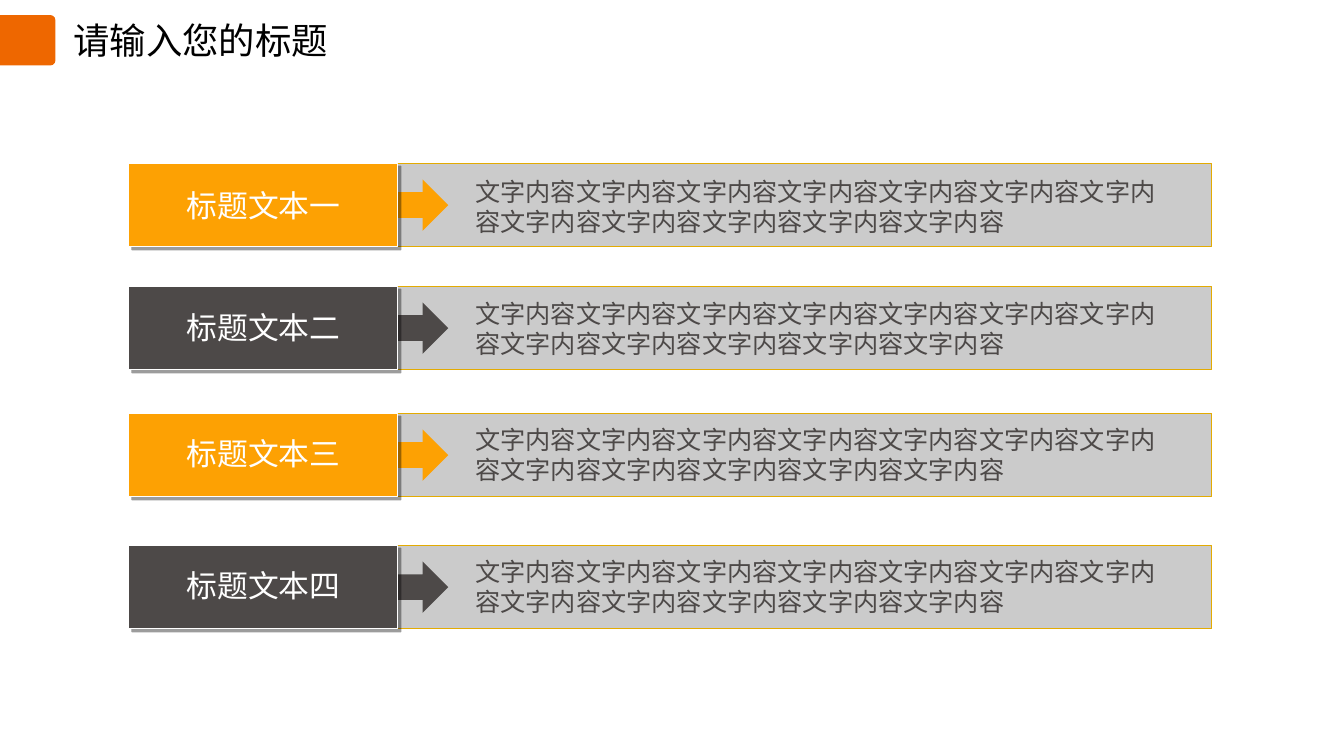
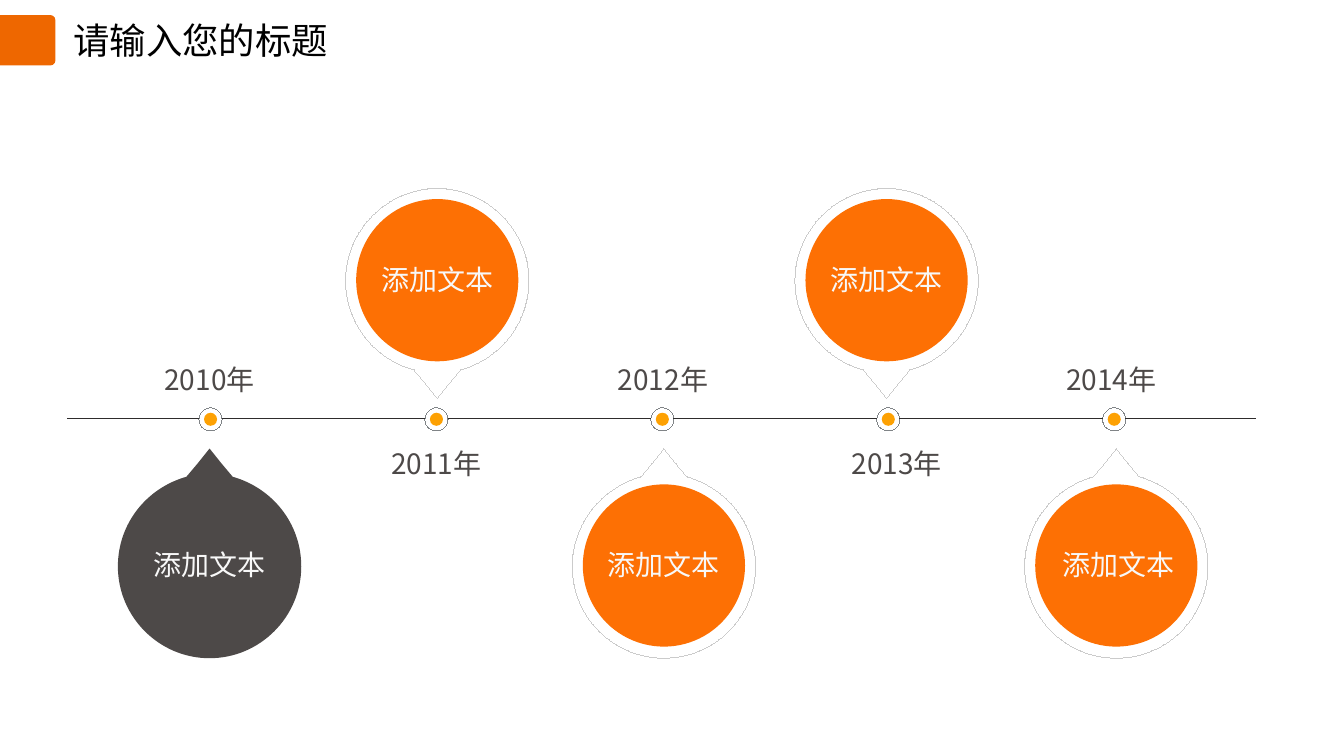
from lxml import etree
from pptx import Presentation
from pptx.dml.color import RGBColor
from pptx.enum.shapes import MSO_CONNECTOR, MSO_SHAPE
from pptx.enum.text import PP_ALIGN
from pptx.oxml import parse_xml
from pptx.oxml.ns import nsdecls, qn
from pptx.util import Inches, Pt

RECTANGLE = MSO_SHAPE.RECTANGLE
ELLIPSE = MSO_SHAPE.OVAL
ARROW = MSO_SHAPE.RIGHT_ARROW
TAB = MSO_SHAPE.ROUND_2_SAME_RECTANGLE
STRAIGHT = MSO_CONNECTOR.STRAIGHT
LEFT, CENTER = PP_ALIGN.LEFT, PP_ALIGN.CENTER

FONT = "Noto Sans CJK SC"
COLORS = {
    "black": "000000", "white": "FFFFFF", "off_white": "F8F8F8",
    "tab": "EE6700", "orange": "FD7004", "amber": "FDA103", "gold": "E3AB02",
    "dark": "4D4948", "axis": "2E2C2C", "ring": "808487", "panel": "CBCBCB",
}
SHADOW = (
    f'<a:outerShdw {nsdecls("a")} blurRad="0" dist="{Pt(3)}" dir="2700000" algn="tl" '
    'rotWithShape="0"><a:srgbClr val="000000"><a:alpha val="38000"/></a:srgbClr></a:outerShdw>'
)


def paint(shape, fill=None, line=None, width=0):
    """Set fill and outline by colour name; None leaves them out."""
    shape.shadow.inherit = False
    for target, color in ((shape.fill, fill), (shape.line.fill, line)):
        if color is None:
            target.background()
        else:
            target.solid()
            target.fore_color.rgb = RGBColor.from_string(COLORS[color])
    # A hairline needs its zero width written out
    shape._element.spPr.find(qn("a:ln")).set("w", str(Pt(width)))


def add_text(slide, box, text, size, color, alignment=CENTER, wrap=True):
    """Add a text box of one paragraph; box is left, top, width, height in inches."""
    frame = slide.shapes.add_textbox(*[Inches(length) for length in box]).text_frame
    frame.word_wrap = wrap
    paragraph = frame.paragraphs[0]
    paragraph.alignment = alignment
    run = paragraph.add_run()
    run.text = text
    for name, value in {"size": Pt(size), "name": FONT}.items():
        setattr(run.font, name, value)
    run.font.color.rgb = RGBColor.from_string(COLORS[color])
    etree.SubElement(run.font._element, qn("a:ea")).set("typeface", FONT)


presentation = Presentation()
presentation.slide_width = Inches(13.34)
presentation.slide_height = Inches(7.5)

# Title and side tab, shared by both slides
TAB_LENGTH, TAB_HEIGHT, TAB_TOP = 0.55, 0.5, 0.15
TURN_SHIFT = (TAB_LENGTH - TAB_HEIGHT) / 2
slides = [presentation.slides.add_slide(presentation.slide_layouts[6]) for _ in range(2)]
for slide in slides:
    add_text(slide, (0.63, 0.13, 2.73, 0.54), "请输入您的标题", 26, "black", LEFT, wrap=False)
    tab = slide.shapes.add_shape(TAB, Inches(TURN_SHIFT), Inches(TAB_TOP - TURN_SHIFT),
                                 Inches(TAB_HEIGHT), Inches(TAB_LENGTH))
    tab.rotation = 90
    tab.adjustments[0] = 0.1
    paint(tab, "tab")
list_slide, timeline_slide = slides

# Slide 1: four rows of label, arrow and text panel
ROW_HEIGHT = Inches(0.83)
BODY = "文字内容" * 12
rows = [
    ("标题文本一", 1.62, 1.8, "amber"),
    ("标题文本二", 2.84, 3.01, "dark"),
    ("标题文本三", 4.1, 4.26, "amber"),
    ("标题文本四", 5.41, 5.57, "dark"),
]
for heading, top, text_top, color in rows:
    panel = list_slide.shapes.add_shape(RECTANGLE, Inches(3.9), Inches(top), Inches(8.13), ROW_HEIGHT)
    paint(panel, "panel", "gold", 0.75)

    arrow = list_slide.shapes.add_shape(ARROW, Inches(3.82), Inches(top + 0.16), Inches(0.63), Inches(0.51))
    paint(arrow, color)

    label = list_slide.shapes.add_shape(RECTANGLE, Inches(1.28), Inches(top), Inches(2.67), ROW_HEIGHT)
    paint(label, color, "white", 0.75)
    label._element.spPr.find(qn("a:effectLst")).append(parse_xml(SHADOW))

    add_text(list_slide, (1.7, text_top, 1.83, 0.47), heading, 22, "white")
    add_text(list_slide, (4.62, text_top - 0.1, 7.01, 0.7), BODY, 18, "dark", LEFT)

# Slide 2: timeline with pins alternately below and above the axis
AXIS_Y, AXIS_START, AXIS_END = 4.15, 0.67, 12.46
RING_Y, FIRST_RING, LAST_RING = 4.16, 2.09, 11.06
RING, DOT, DISC = 0.23, 0.13, 1.61
TEXT_WIDTH, TEXT_HEIGHT = 1.62, 0.44

# Pin outline around its centre, tip upwards: four curves, then the tip
PIN_START = (0.23, -0.89)
PIN_CURVES = [
    (0.62, -0.78), (0.91, -0.43), (0.91, 0),
    (0.91, 0.5), (0.5, 0.91), (0, 0.91),
    (-0.5, 0.91), (-0.91, 0.5), (-0.91, 0),
    (-0.91, -0.43), (-0.62, -0.78), (-0.23, -0.89),
]
PIN_TIP = [(-0.12, -1.02), (0, -1.17), (0.12, -1.02)]

# Year, then the centres of the pin, its text and the year text
milestones = [
    ("2010年", 2.08, 2.08, 2.08),
    ("2011年", 4.34, 4.34, 4.33),
    ("2012年", 6.59, 6.59, 6.58),
    ("2013年", 8.8, 8.8, 8.9),
    ("2014年", 11.08, 11.1, 11.03),
]
RING_PITCH = (LAST_RING - FIRST_RING) / (len(milestones) - 1)
shapes = timeline_slide.shapes
segment_start = AXIS_START
for index, (year, pin_x, text_x, year_x) in enumerate(milestones):
    below = index % 2 == 0
    pin_y, flip, text_top, year_top = (5.62, 1, 5.38, 3.55) if below else (2.78, -1, 2.56, 4.38)

    # Pin: drawn through its control points, then each three become a curve
    start, *outline = [(Inches(pin_x + x), Inches(pin_y + flip * y))
                       for x, y in [PIN_START] + PIN_CURVES + PIN_TIP]
    builder = shapes.build_freeform(*start)
    builder.add_line_segments(outline, close=True)
    pin = builder.convert_to_shape()
    lines = list(pin._element.iter(qn("a:lnTo")))
    for first in range(0, len(PIN_CURVES), 3):
        curve = etree.Element(qn("a:cubicBezTo"))
        lines[first].addprevious(curve)
        for line in lines[first:first + 3]:
            curve.append(line[0])
            line.getparent().remove(line)

    # Disc in the light pins, ring and dot on the axis
    ring_x = FIRST_RING + RING_PITCH * index
    circles = [(ring_x, RING_Y, RING, None, "ring"), (ring_x, RING_Y, DOT, "amber", None)]
    if index == 0:
        paint(pin, "dark")
    else:
        paint(pin, "white", "panel")
        circles.append((pin_x, pin_y - 0.01 * below, DISC, "orange", None))
    for center_x, center_y, size, fill, line in circles:
        circle = shapes.add_shape(ELLIPSE, Inches(center_x - size / 2), Inches(center_y - size / 2),
                                  Inches(size), Inches(size))
        paint(circle, fill, line)

    # Axis piece leading to this ring, and after the last ring the closing piece
    pieces = [(segment_start, ring_x - RING / 2)]
    segment_start = ring_x + RING / 2
    if index == len(milestones) - 1:
        pieces.append((segment_start, AXIS_END))
    for left, right in pieces:
        axis = shapes.add_connector(STRAIGHT, Inches(left), Inches(AXIS_Y), Inches(right), Inches(AXIS_Y))
        axis.line.color.rgb = RGBColor.from_string(COLORS["axis"])
        axis._element.spPr.find(qn("a:ln")).set("w", "0")
        etree.SubElement(axis._element.spPr, qn("a:effectLst"))

    # Texts of the pin and the year
    for center_x, top, text, color in ((text_x, text_top, "添加文本", "off_white"),
                                       (year_x, year_top, year, "dark")):
        box = (center_x - TEXT_WIDTH / 2, top, TEXT_WIDTH, TEXT_HEIGHT)
        add_text(timeline_slide, box, text, 20, color)

presentation.save("out.pptx")
